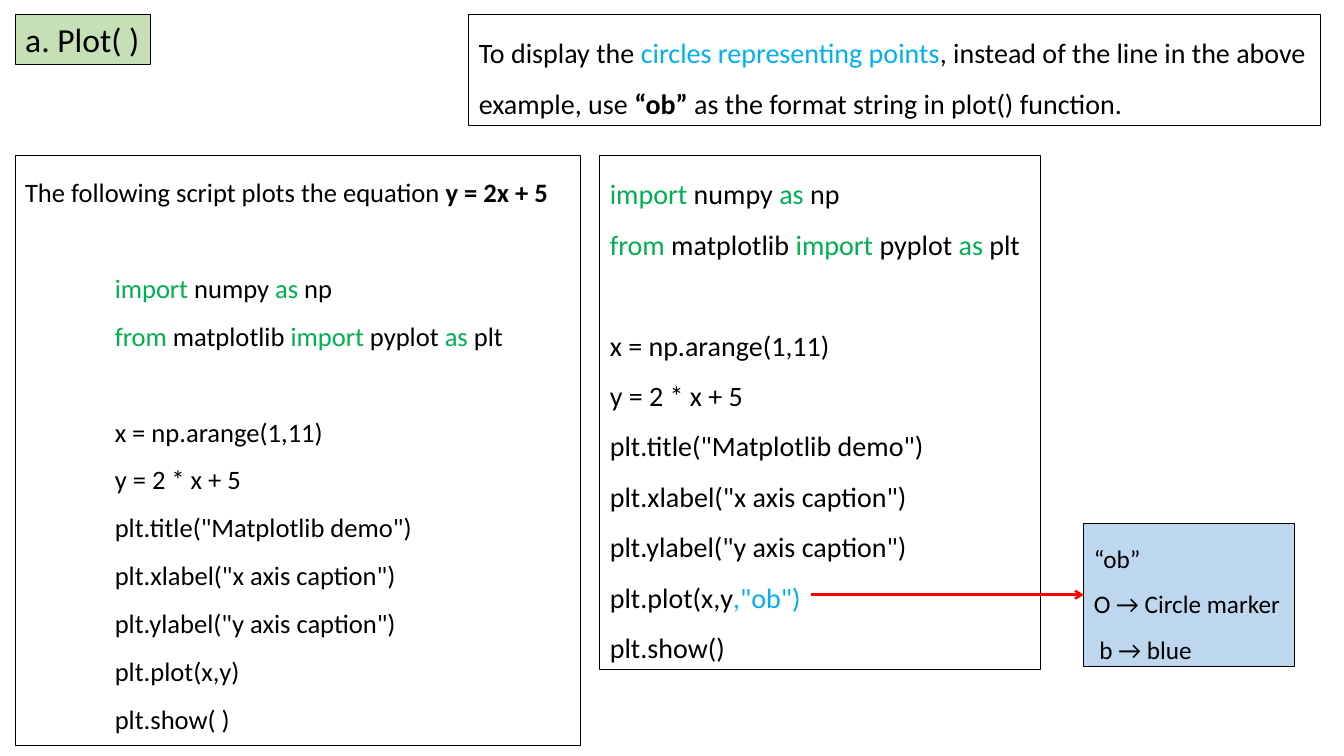
from dataclasses import dataclass
from typing import NamedTuple

from lxml.etree import SubElement
from pptx import Presentation
from pptx.dml.color import RGBColor
from pptx.enum.shapes import MSO_CONNECTOR
from pptx.enum.text import MSO_ANCHOR, MSO_AUTO_SIZE, PP_ALIGN
from pptx.oxml.ns import qn
from pptx.util import Inches, Pt

BLACK, GREEN, CYAN, RED = "000000", "00B050", "00B0F0", "FF0000"
PALE_GREEN, PALE_BLUE = "C5E0B4", "BDD7EE"
KEYWORDS = {"import", "from", "as"}


class Run(NamedTuple):
    text: str
    color: str = BLACK
    bold: bool = False


@dataclass
class Line:
    runs: list[Run]
    indent: float = 0
    gap: bool = False  # leave one line's height above


@dataclass
class Panel:
    left: float
    top: float
    width: float
    height: float
    size: int
    lines: list[Line]
    fill: str | None = None
    wrap: bool = True
    spacing: float = 1.5
    fit: MSO_AUTO_SIZE = MSO_AUTO_SIZE.SHAPE_TO_FIT_TEXT


def rgb(color: str) -> RGBColor:
    return RGBColor.from_string(color)


def code_line(code: str, indent: float = 0, gap: bool = False) -> Line:
    """Colour the import keywords of one line of code."""
    runs = []
    for i, word in enumerate(code.split(" ")):
        if i:
            runs.append(Run(" "))
        runs.append(Run(word, GREEN if word in KEYWORDS else BLACK))
    return Line(runs, indent, gap)


def write_text(frame, lines: list[Line], *, size: int, spacing: float) -> None:
    for i, line in enumerate(lines):
        paragraph = frame.paragraphs[0] if i == 0 else frame.add_paragraph()
        paragraph.alignment = PP_ALIGN.LEFT
        paragraph.line_spacing = spacing
        if line.gap:
            paragraph.space_before = Pt(1.2 * size * spacing)
        if line.indent:
            paragraph._p.get_or_add_pPr().set("marL", str(Inches(line.indent)))
        for part in line.runs:
            run = paragraph.add_run()
            run.text = part.text
            run.font.name = "Calibri"
            run.font.size = Pt(size)
            run.font.bold = part.bold
            run.font.color.rgb = rgb(part.color)


def draw_panel(slide, panel: Panel, shape=None):
    """Format the given placeholder, or a new text box, as a bordered panel."""
    box = [Inches(n) for n in (panel.left, panel.top, panel.width, panel.height)]
    if shape is None:
        shape = slide.shapes.add_textbox(*box)
    shape.left, shape.top, shape.width, shape.height = box
    if panel.fill:
        shape.fill.solid()
        shape.fill.fore_color.rgb = rgb(panel.fill)
    shape.line.color.rgb = rgb(BLACK)
    shape.line.width = Pt(0.75)
    frame = shape.text_frame
    frame.word_wrap = panel.wrap
    frame.auto_size = panel.fit
    frame.vertical_anchor = MSO_ANCHOR.TOP
    write_text(frame, panel.lines, size=panel.size, spacing=panel.spacing)
    return shape


def draw_arrow(slide, start: tuple[float, float], target) -> None:
    x, y = (Inches(n) for n in start)
    arrow = slide.shapes.add_connector(MSO_CONNECTOR.STRAIGHT, x, y, target.left, y)
    arrow.end_connect(target, 1)
    arrow.line.color.rgb = rgb(RED)
    arrow.line.width = Pt(1.75)
    SubElement(arrow.line._get_or_add_ln(), qn("a:tailEnd"), type="arrow")
    SubElement(arrow._element.spPr, qn("a:effectLst"))


def script_lines(plot: Line, show: str, indent: float = 0, gap: bool = False) -> list[Line]:
    """The demo script, which differs only in its last two lines."""
    return [
        code_line("import numpy as np", indent, gap),
        code_line("from matplotlib import pyplot as plt", indent),
        code_line("x = np.arange(1,11)", indent, gap=True),
        *(code_line(code, indent) for code in (
            "y = 2 * x + 5",
            'plt.title("Matplotlib demo")',
            'plt.xlabel("x axis caption")',
            'plt.ylabel("y axis caption")',
        )),
        plot,
        code_line(show, indent),
    ]


CODE_INDENT = 0.89
# The title placeholder keeps a fixed height: fitting it to its text would stretch it
HEADING = Panel(0.15, 0.14, 1.34, 0.5, 24, [Line([Run("a. Plot( )")])],
                PALE_GREEN, wrap=False, spacing=1.0, fit=MSO_AUTO_SIZE.NONE)
LINE_SCRIPT = Panel(0.15, 1.54, 5.61, 5.86, 19, [
    Line([Run("The following script plots the equation "), Run("y = 2x + 5", bold=True)]),
    *script_lines(code_line("plt.plot(x,y)", CODE_INDENT), "plt.show( )", CODE_INDENT, gap=True),
])
EXPLANATION = Panel(4.65, 0.14, 8.45, 1.11, 20, [Line([
    Run("To display the "),
    Run("circles representing points", CYAN),
    Run(", instead of the line in the above example, use "),
    Run("“ob”", bold=True),
    Run(" as the format string in plot() function."),
])])
CIRCLE_SCRIPT = Panel(5.95, 1.54, 4.37, 5.1, 20, script_lines(
    Line([Run("plt.plot(x,y"), Run(',"ob")', CYAN)]), "plt.show()"), wrap=False)
FORMAT_KEY = Panel(10.75, 5.19, 2.09, 1.42, 18, [
    Line([Run(text)]) for text in ("“ob”", "O → Circle marker", " b → blue")
], PALE_BLUE, wrap=False)


def main() -> None:
    deck = Presentation()
    deck.slide_width, deck.slide_height = Inches(13.33), Inches(7.5)
    slide = deck.slides.add_slide(deck.slide_layouts[5])

    # Heading
    draw_panel(slide, HEADING, slide.shapes.title)

    # Scripts and explanation
    for panel in (LINE_SCRIPT, EXPLANATION, CIRCLE_SCRIPT):
        draw_panel(slide, panel)

    # Meaning of the format string
    format_key = draw_panel(slide, FORMAT_KEY)
    draw_arrow(slide, (8.04, 5.9), format_key)

    deck.save("out.pptx")


if __name__ == "__main__":
    main()
